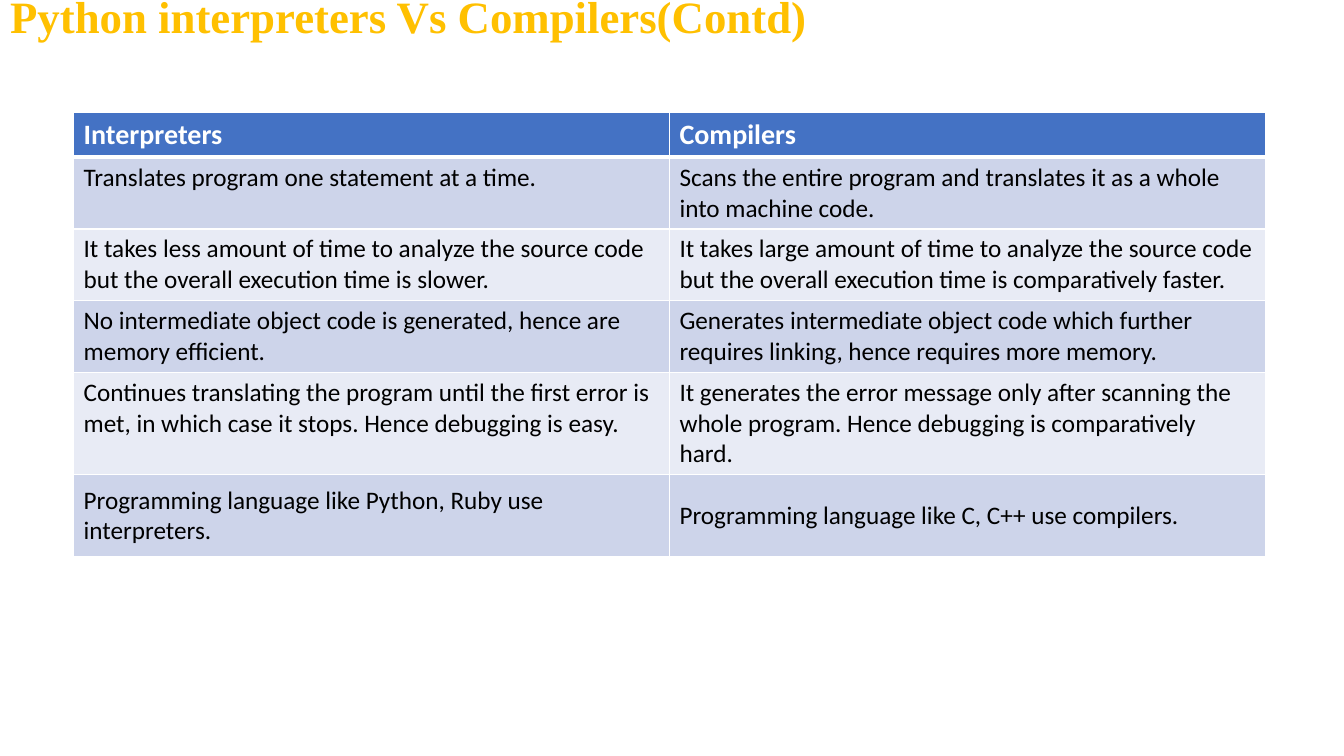
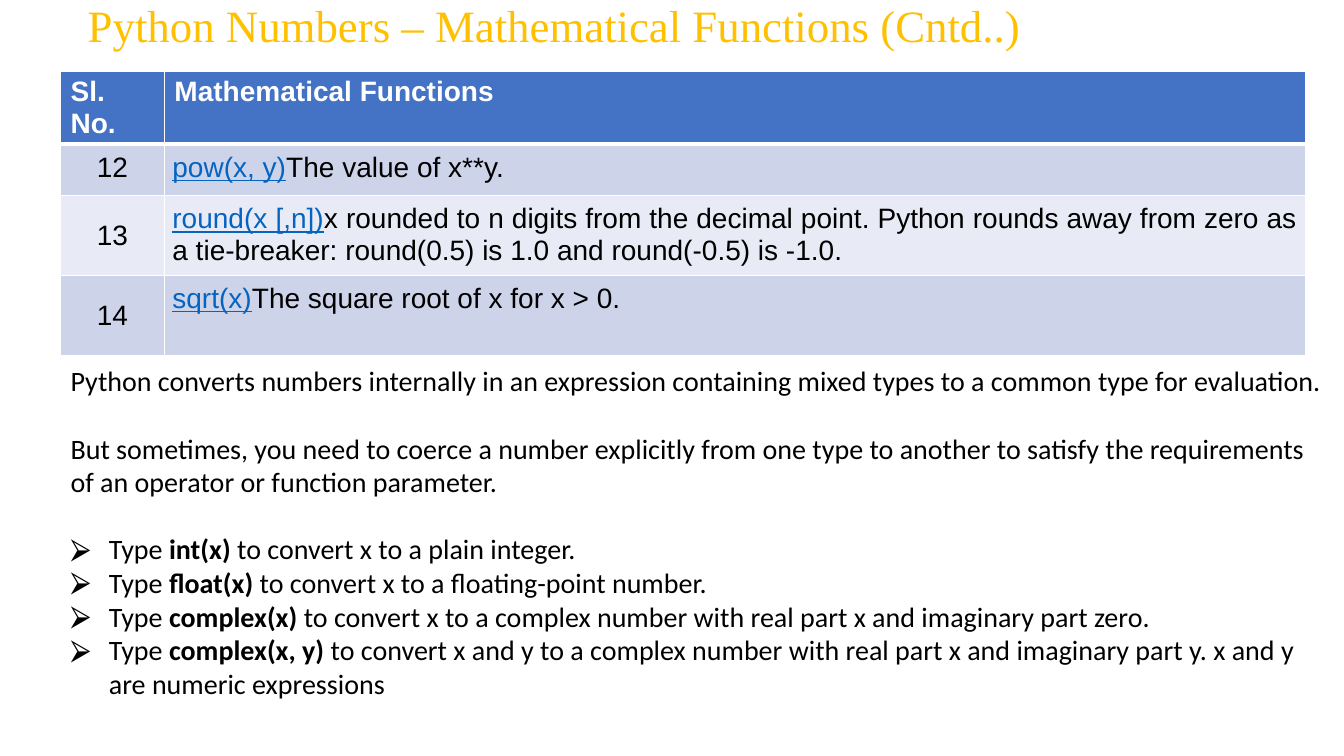
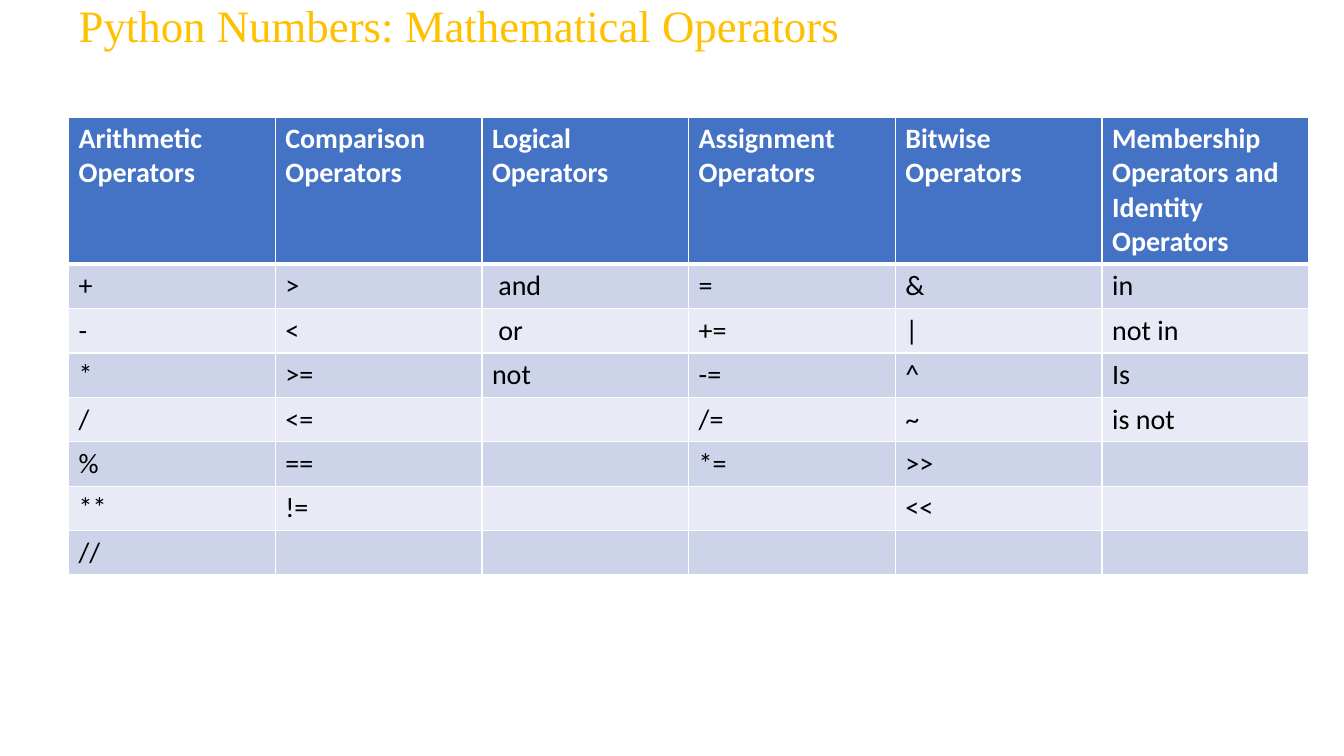
"""Build three slides on Python interpreters, number functions and operators."""
from lxml.etree import SubElement
from pptx import Presentation
from pptx.dml.color import RGBColor
from pptx.enum.text import MSO_ANCHOR as Anchor, MSO_AUTO_SIZE as AutoSize, PP_ALIGN as Align
from pptx.oxml.ns import qn
from pptx.util import Emu, Pt

EMU_PER_PX = 9144
COLORS = {
    "title": "FFC000", "header": "4472C4", "odd": "CDD4EA", "even": "E8EBF5",
    "white": "FFFFFF", "text": "000000", "link": "0563C1",
}
HEADER_MARGINS = (10, 5, 10, 5)
TITLE_WIDTH = 1063
TITLE_ONLY, TITLE_AND_BODY = 5, 1


def px(length):
    return Emu(length * EMU_PER_PX)


def add_runs(paragraph, runs, font, size, color, bold=False):
    for text, style in runs:
        run = paragraph.add_run()
        run.text = text
        run.font.name = font
        run.font.size = Pt(size)
        run.font.bold = bold or style == "bold"
        run.font.underline = style == "link"
        run.font.color.rgb = RGBColor.from_string(COLORS["link" if style == "link" else color])


COMPARISON = {
    "left": 73, "top": 112, "columns": [591, 591], "heights": [44, 71, 71, 71, 71, 81],
    "font": "Calibri", "size": 18, "margins": HEADER_MARGINS,
    "row_margins": {5: (10, 10, 8, 9)}, "middle": [(5, 0), (5, 1)],
    "aligns": [Align.LEFT] * 2,
    "rows": [
        ["Interpreters", "Compilers"],
        ["Translates program one statement at a time.",
         "Scans the entire program and translates it as a whole into machine code."],
        ["It takes less amount of time to analyze the source code but the overall execution time is slower.",
         "It takes large amount of time to analyze the source code but the overall execution time "
         "is comparatively faster."],
        ["No intermediate object code is generated, hence are memory efficient.",
         "Generates intermediate object code which further requires linking, hence requires more memory."],
        ["Continues translating the program until the first error is met, in which case it stops. "
         "Hence debugging is easy.",
         "It generates the error message only after scanning the whole program. "
         "Hence debugging is comparatively hard."],
        ["Programming language like Python, Ruby use interpreters.",
         "Programming language like C, C++ use compilers."],
    ],
}
FUNCTIONS = {
    "left": 60, "top": 71, "columns": [103, 1132], "heights": [72, 51, 79, 80],
    "font": "Arial", "size": 20, "margins": (8, 8, 8, 8),
    "row_margins": {}, "middle": [(2, 0), (3, 0)],
    "aligns": [Align.CENTER, Align.JUSTIFY],
    "rows": [
        ["Sl. No.", "Mathematical Functions"],
        ["12", [("pow(x, y)", "link"), ("The value of x**y.", "")]],
        ["13", [("round(x [,n])", "link"),
                ("x rounded to n digits from the decimal point. Python rounds away from zero as a "
                 "tie-breaker: round(0.5) is 1.0 and round(-0.5) is -1.0.", "")]],
        ["14", [("sqrt(x)", "link"), ("The square root of x for x > 0.", "")]],
    ],
}
OPERATORS = {
    "left": 68, "top": 116, "columns": [205] * 6, "heights": [145] + [44] * 7,
    "font": "Calibri", "size": 20, "margins": HEADER_MARGINS,
    "row_margins": {}, "middle": [], "aligns": [Align.LEFT] * 6,
    "rows": [
        ["Arithmetic Operators", "Comparison Operators", "Logical Operators", "Assignment Operators",
         "Bitwise Operators", "Membership Operators and\nIdentity Operators"],
        ["+", ">", " and", "=", "&", "in"],
        ["-", "<", " or", "+=", "|", "not in"],
        ["*", ">=", "not", "-=", "^", "Is"],
        ["/", "<=", "", "/=", "~", "is not"],
        ["%", "==", "", "*=", ">>", ""],
        ["**", "!=", "", "", "<<", ""],
        ["//", "", "", "", "", ""],
    ],
}
SLIDES = [
    (TITLE_ONLY, "Python interpreters Vs Compilers(Contd)", True, (0, 0, 38), COMPARISON),
    (TITLE_AND_BODY, "Python Numbers – Mathematical Functions (Cntd..)", False, (77, 3, 50), FUNCTIONS),
    (TITLE_ONLY, "Python Numbers: Mathematical Operators", False, (68, 5, 45), OPERATORS),
]
INTRODUCTION = [
    "Python converts numbers internally in an expression containing mixed types to a common type for evaluation.",
    "But sometimes, you need to coerce a number explicitly from one type to another to satisfy the "
    "requirements of an operator or function parameter.",
]
CONVERSIONS = [
    ("int(x)", " to convert x to a plain integer."),
    ("float(x)", " to convert x to a floating-point number."),
    ("complex(x)", " to convert x to a complex number with real part x and imaginary part zero."),
    ("complex(x, y)", " to convert x and y to a complex number with real part x and imaginary part y. "
                      "x and y are numeric expressions"),
]

presentation = Presentation()
presentation.slide_width, presentation.slide_height = px(1333), px(750)

for layout, heading, bold, (left, top, height), grid in SLIDES:
    slide = presentation.slides.add_slide(presentation.slide_layouts[layout])
    title = slide.shapes.title
    title.left, title.top, title.width, title.height = px(left), px(top), px(TITLE_WIDTH), px(height)
    frame = title.text_frame
    frame.auto_size = AutoSize.NONE
    frame.word_wrap = True
    frame.vertical_anchor = Anchor.MIDDLE
    paragraph = frame.paragraphs[0]
    paragraph.alignment = Align.LEFT
    paragraph.line_spacing = 0.9
    add_runs(paragraph, [(heading, "")], "Times New Roman", 32, "title", bold)

    rows, columns, heights = grid["rows"], grid["columns"], grid["heights"]
    table = slide.shapes.add_table(
        len(rows), len(columns), px(grid["left"]), px(grid["top"]), px(sum(columns)), px(sum(heights))
    ).table
    for column, width in zip(table.columns, columns):
        column.width = px(width)
    for row_index, cells in enumerate(rows):
        is_header = row_index == 0
        table.rows[row_index].height = px(heights[row_index])
        margins = HEADER_MARGINS if is_header else grid["row_margins"].get(row_index, grid["margins"])
        fill = "header" if is_header else "odd" if row_index % 2 else "even"
        for column_index, content in enumerate(cells):
            cell = table.cell(row_index, column_index)
            cell.margin_left, cell.margin_top, cell.margin_right, cell.margin_bottom = map(px, margins)
            if (row_index, column_index) in grid["middle"]:
                cell.vertical_anchor = Anchor.MIDDLE
            properties = cell._tc.get_or_add_tcPr()
            for side in ("lnL", "lnR", "lnT", "lnB"):
                is_thick = (row_index, side) in [(0, "lnB"), (1, "lnT")]
                border = SubElement(properties, qn(f"a:{side}"), w=str(Pt(3 if is_thick else 1)))
                SubElement(SubElement(border, qn("a:solidFill")), qn("a:srgbClr"), val=COLORS["white"])
            cell.fill.solid()
            cell.fill.fore_color.rgb = RGBColor.from_string(COLORS[fill])
            lines = [[(line, "")] for line in content.split("\n")] if isinstance(content, str) else [content]
            for line_index, runs in enumerate(lines):
                frame = cell.text_frame
                paragraph = frame.add_paragraph() if line_index else frame.paragraphs[0]
                paragraph.alignment = Align.LEFT if is_header else grid["aligns"][column_index]
                if content:
                    add_runs(paragraph, runs, grid["font"], 20 if is_header else grid["size"],
                             "white" if is_header else "text", is_header)

    if layout == TITLE_AND_BODY:
        body = slide.placeholders[1]
        body.left, body.top, body.width, body.height = px(60), px(356), px(1273), px(347)
        frame = body.text_frame
        frame.auto_size = AutoSize.NONE
        frame.word_wrap = True
        entries = [[(text, "")] for text in INTRODUCTION]
        entries += [[("Type ", ""), (call, "bold"), (result, "")] for call, result in CONVERSIONS]
        for index, runs in enumerate(entries):
            paragraph = frame.add_paragraph() if index else frame.paragraphs[0]
            is_bullet = index >= len(INTRODUCTION)
            paragraph.space_before = Pt(0)
            paragraph.space_after = Pt(0 if is_bullet else 24)
            properties = paragraph._p.get_or_add_pPr()
            indent = px(38 if is_bullet else 0)
            properties.set("marL", str(indent))
            properties.set("indent", str(-indent))
            if is_bullet:
                SubElement(properties, qn("a:buFont"), typeface="Arial")
                SubElement(properties, qn("a:buChar"), char="⮚")
            else:
                SubElement(properties, qn("a:buNone"))
            add_runs(paragraph, runs, "Calibri", 20, "text")

presentation.save("out.pptx")
